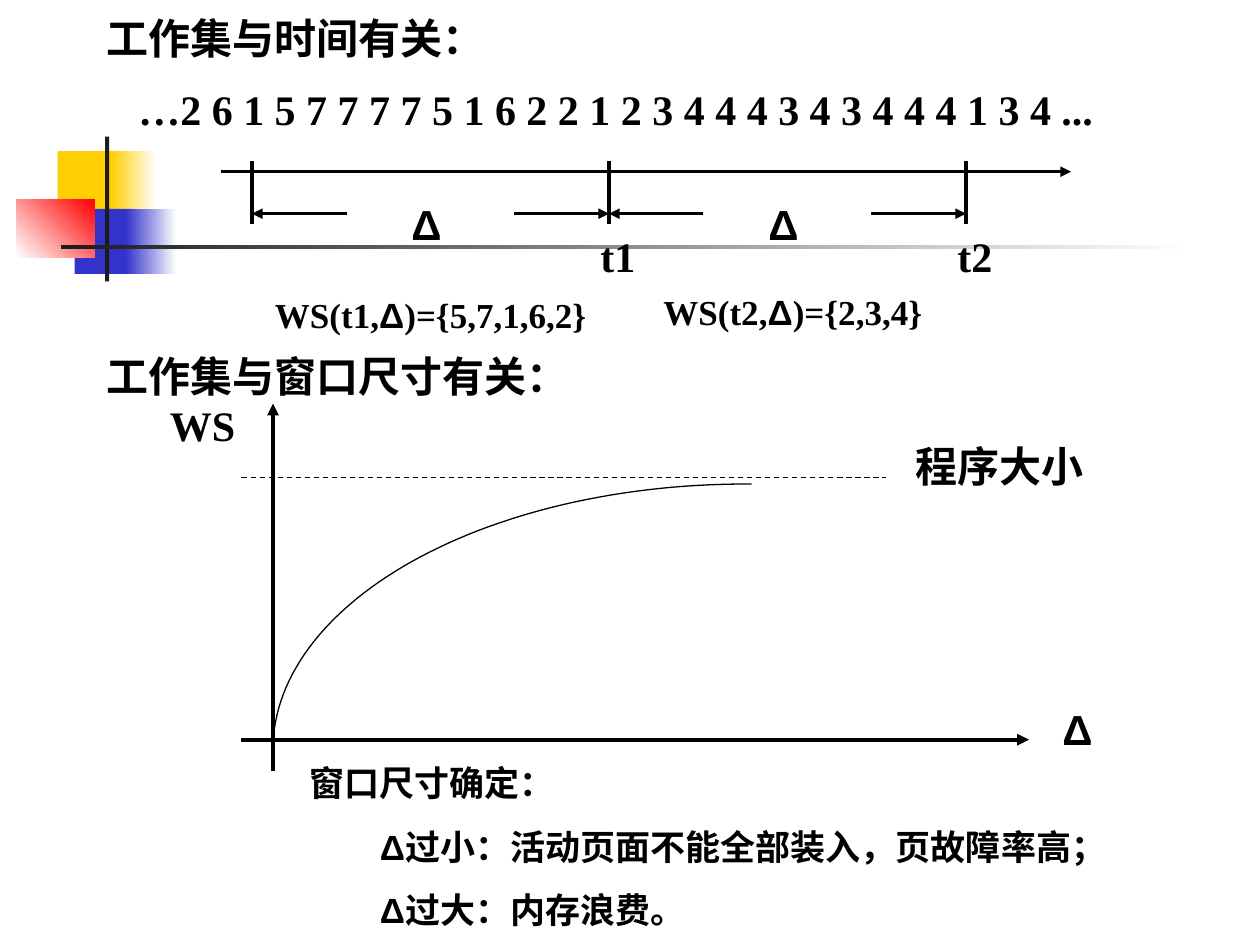
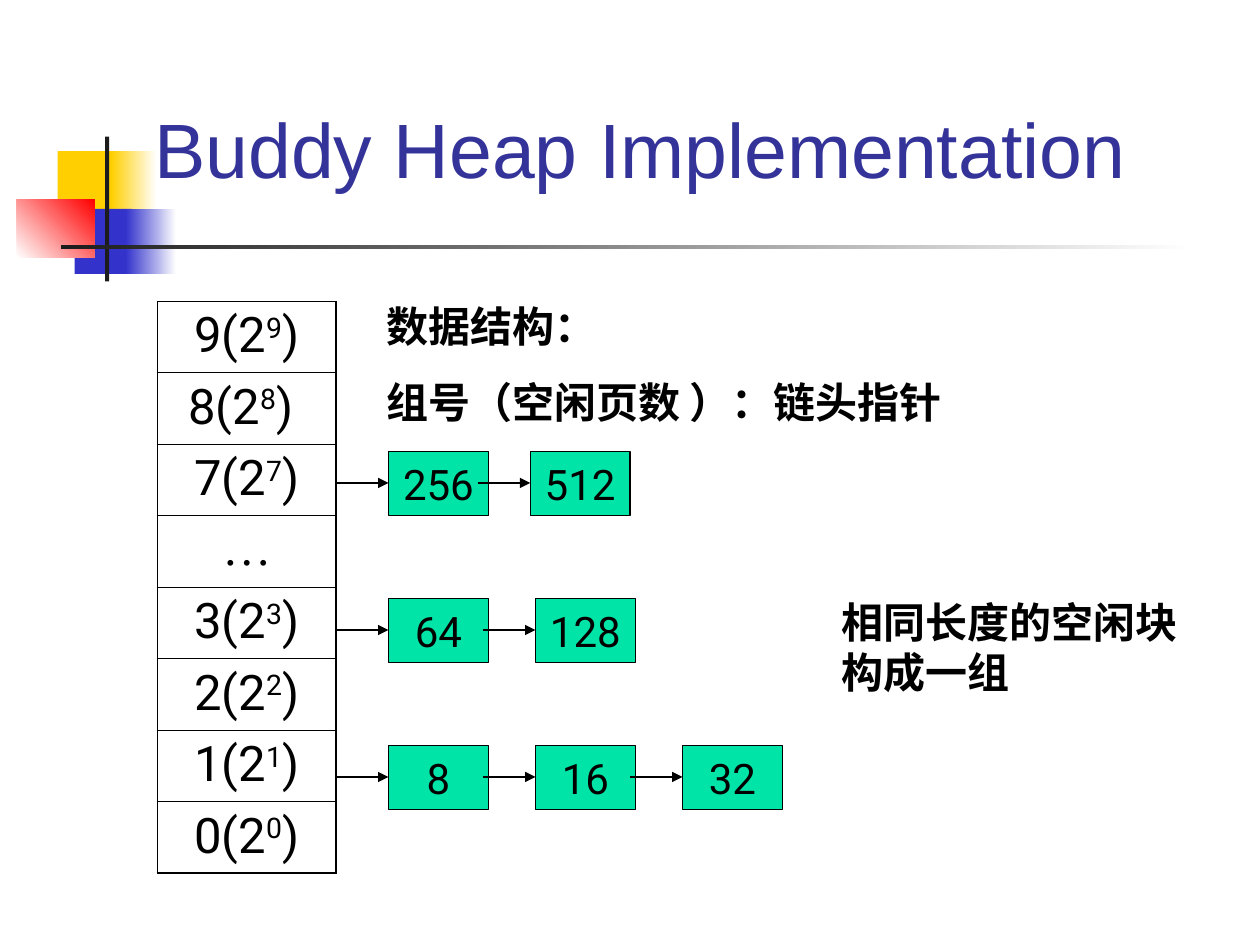
from math import cos, pi, sin

from lxml.etree import SubElement
from pptx import Presentation
from pptx.dml.color import RGBColor
from pptx.enum.dml import MSO_LINE
from pptx.enum.shapes import MSO_CONNECTOR, MSO_SHAPE
from pptx.enum.text import MSO_ANCHOR as ANCHOR, PP_ALIGN as ALIGN
from pptx.oxml.ns import qn
from pptx.util import Inches, Pt

COLUMNS, ROWS = 120, 90
BLACK, WHITE, INK = "000000", "FFFFFF", "1C1C1C"
YELLOW, BLUE, RED = "FFCF01", "3333CC", "FF0000"
TITLE_BLUE, BLOCK_GREEN = "333399", "00E4A8"
SERIF, SANS, ROUND = "Times New Roman", "Arial", "Roboto"
DELTA = "Δ"


def grid(*units):
    return [Inches(unit * 10 / COLUMNS) for unit in units]


def color(value):
    return RGBColor.from_string(value)


def format_spans(para, size, font, bold=False, fill=BLACK):
    for span in para.runs:
        span.font.size = Pt(size)
        span.font.name = SANS if span.text == DELTA else font
        span.font.bold = bold
        span.font.color.rgb = color(fill)


def add_spans(para, pieces):
    for piece in filter(None, pieces):
        para.add_run().text = piece


def add_text(page, place, lines, size=24, font=SERIF, bold=True, fill=BLACK,
             space=0, indent=0):
    box = page.shapes.add_textbox(*grid(*place))
    frame = box.text_frame
    frame.word_wrap = True
    for index, line in enumerate(lines):
        para = frame.add_paragraph() if index else frame.paragraphs[0]
        add_spans(para, line.partition(DELTA))
        format_spans(para, size, font, bold, fill)
        if index:
            para.space_before = Pt(space)
            if indent:
                para._p.get_or_add_pPr().set("marL", str(grid(indent)[0]))
    return frame


def add_title(page, text):
    frame = add_text(page, (10, 7.2, 102, 13.8), [text], 44, SANS, False, TITLE_BLUE)
    frame.vertical_anchor = ANCHOR.MIDDLE
    frame.paragraphs[0].alignment = ALIGN.CENTER


def add_line(page, start, end, width, arrow=False, dashed=False):
    line = page.shapes.add_connector(MSO_CONNECTOR.STRAIGHT, *grid(*start, *end))
    line.line.color.rgb = color(BLACK)
    line.line.width = Pt(width)
    if dashed:
        line.line.dash_style = MSO_LINE.DASH
    if arrow:
        SubElement(line.line._get_or_add_ln(), qn("a:tailEnd"), type="triangle")
    SubElement(line._element.spPr, qn("a:effectLst"))


def add_rectangle(page, place, fill, fade_to=None, angle=0):
    shape = page.shapes.add_shape(MSO_SHAPE.RECTANGLE, *grid(*place))
    shape.shadow.inherit = False
    shape.line.fill.background()
    if fade_to:
        shape.fill.gradient()
        shape.fill.gradient_angle = angle
        for stop, value in zip(shape.fill.gradient_stops, (fill, fade_to)):
            stop.color.rgb = color(value)
    else:
        shape.fill.solid()
        shape.fill.fore_color.rgb = color(fill)
    return shape


def add_block(page, left, top, text):
    block = add_rectangle(page, (left, top, 9.5, 6.1), BLOCK_GREEN)
    block.line.color.rgb = color(BLACK)
    block.line.width = Pt(0.75)
    frame = block.text_frame
    frame.text = text
    frame.word_wrap = False
    frame.vertical_anchor = ANCHOR.MIDDLE
    frame.paragraphs[0].alignment = ALIGN.CENTER
    format_spans(frame.paragraphs[0], 24, ROUND)


def add_chain(page, top, sizes, step=14):
    for index, size in enumerate(sizes):
        left = 37 + index * step
        add_block(page, left, top, size)
        add_line(page, (left - 5, top + 3), (left, top + 3), 0.75, arrow=True)


def add_borders(cell, first, last):
    widths = {"lnL": 1.08, "lnR": 1.08,
              "lnT": 1.08 if first else 0.45, "lnB": 1.08 if last else 0.45}
    properties = cell._tc.get_or_add_tcPr()
    for side, width in widths.items():
        border = SubElement(properties, qn(f"a:{side}"), w=str(Pt(width)))
        fill = SubElement(border, qn("a:solidFill"))
        SubElement(fill, qn("a:srgbClr"), val=BLACK)


def add_group_table(page, groups):
    frame = page.shapes.add_table(len(groups), 1, *grid(15, 28.7, 17, 6.8 * len(groups)))
    table = frame.table
    table.first_row = table.horz_banding = False
    for index, (group, ending) in enumerate(groups):
        cell = table.cell(index, 0)
        para = cell.text_frame.paragraphs[0]
        para.alignment = ALIGN.CENTER
        if group == "…":
            para.text = group
            format_spans(para, 28, SERIF)
        else:
            add_spans(para, (f"{group}(2", group, ending))
            format_spans(para, 28, ROUND)
            para.runs[1].font._element.set("baseline", "30000")
        add_borders(cell, index == 0, index == len(groups) - 1)
        cell.fill.background()


def add_curve(page, left, top, width, height, tail, steps=60):
    angles = [pi / 2 * step / steps for step in range(steps + 1)]
    points = [(left + width * (1 - cos(angle)), top + height * (1 - sin(angle)))
              for angle in angles]
    points.append((left + width + tail, top))
    start, *others = [grid(*point) for point in points]
    builder = page.shapes.build_freeform(*start)
    builder.add_line_segments(others, close=False)
    curve = builder.convert_to_shape()
    curve.shadow.inherit = False
    curve.fill.background()
    curve.line.color.rgb = color(BLACK)
    curve.line.width = Pt(0.75)


def add_page(deck):
    page = deck.slides.add_slide(deck.slide_layouts[6])
    add_rectangle(page, (5.5, 14.4, 5.8, 6.2), YELLOW)
    add_rectangle(page, (10.6, 14.4, 4.3, 6.2), YELLOW, WHITE)
    add_rectangle(page, (7.1, 19.9, 5.5, 6.2), BLUE)
    add_rectangle(page, (12, 19.9, 4.8, 6.2), BLUE, WHITE)
    add_rectangle(page, (1.6, 19, 7.4, 5.5), WHITE, RED, 45)
    add_rectangle(page, (10, 13, 0.4, 13.8), INK)
    add_rectangle(page, (5.8, 23.35, 108, 0.4), INK, WHITE)
    return page


def add_timeline(page):
    first, window = 24, 34
    add_line(page, (21, 16.35), (102, 16.35), 2, arrow=True)
    for tick in range(3):
        column = first + tick * window
        add_line(page, (column, 15.35), (column, 21.35), 1.75)
    for index in range(2):
        start = first + index * window
        end = start + window
        add_line(page, (start + 9, 20.35), (start, 20.35), 2, arrow=True)
        add_line(page, (end - 9, 20.35), (end, 20.35), 2, arrow=True)
        add_text(page, (start + 14, 18.35, 7, 6), [DELTA])
        add_text(page, (end - 2, 21.35, 6, 6), [f"t{index + 1}"])


def add_size_graph(page):
    add_line(page, (23, 70.45), (98, 70.45), 2.25, arrow=True)
    add_line(page, (26, 73.45), (26, 38.45), 2.25, arrow=True)
    add_line(page, (23, 45.45), (84.4, 45.45), 0.75, dashed=True)
    add_curve(page, 26, 46.1, 45, 25.3, 0.6)
    add_text(page, (86, 41.4, 23, 6), ["程序大小"])
    add_text(page, (100, 66.45, 9, 6), [DELTA])
    add_text(page, (15, 37.45, 12, 6), ["WS"])


def build_working_set(deck):
    page = add_page(deck)
    add_text(page, (9, 0.6, 97, 6), ["工作集与时间有关："])
    add_text(page, (12, 7.35, 101, 6),
             ["…2 6 1 5 7 7 7 7 5 1 6 2 2 1 2 3 4 4 4 3 4 3 4 4 4 1 3 4 ..."])
    add_timeline(page)
    add_text(page, (25, 27.35, 33, 5.25), ["WS(t1,Δ)={5,7,1,6,2}"], 20)
    add_text(page, (62, 27.1, 33, 5.25), ["WS(t2,Δ)={2,3,4}"], 20)
    add_text(page, (9, 32.75, 97, 6), ["工作集与窗口尺寸有关："])
    add_size_graph(page)
    add_text(page, (28.3, 71.9, 88, 17.4),
             ["窗口尺寸确定：", "Δ过小：活动页面不能全部装入，页故障率高；", "Δ过大：内存浪费。"],
             20, space=12.5, indent=6.7)


def build_buddy_heap(deck):
    page = add_page(deck)
    add_title(page, "Buddy Heap Implementation")
    add_group_table(page, [(group, ") " if group == "8" else ")") for group in "987…3210"])
    add_text(page, (35.6, 28, 73, 13.3), ["数据结构：", "组号（空闲页数 ）：链头指针"],
             font=ROUND, space=15)
    add_chain(page, 43, ("256", "512"), step=13.5)
    add_chain(page, 57, ("64", "128"))
    add_chain(page, 71, ("8", "16", "32"))
    add_text(page, (79, 56.2, 35, 10.8), ["相同长度的空闲块构成一组"], font=ROUND)


def main():
    deck = Presentation()
    deck.slide_width, deck.slide_height = grid(COLUMNS, ROWS)
    build_working_set(deck)
    build_buddy_heap(deck)
    deck.save("out.pptx")


if __name__ == "__main__":
    main()
